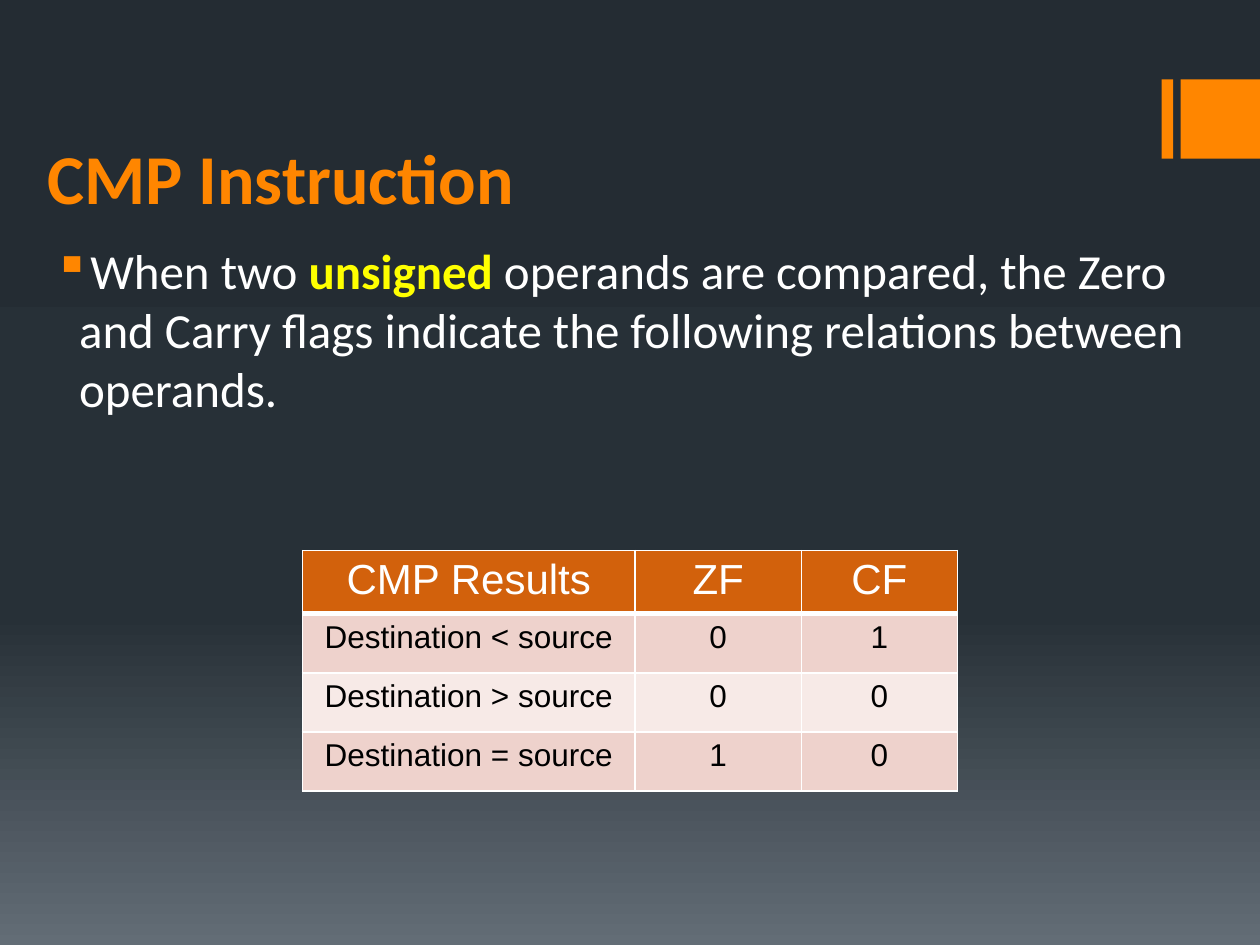
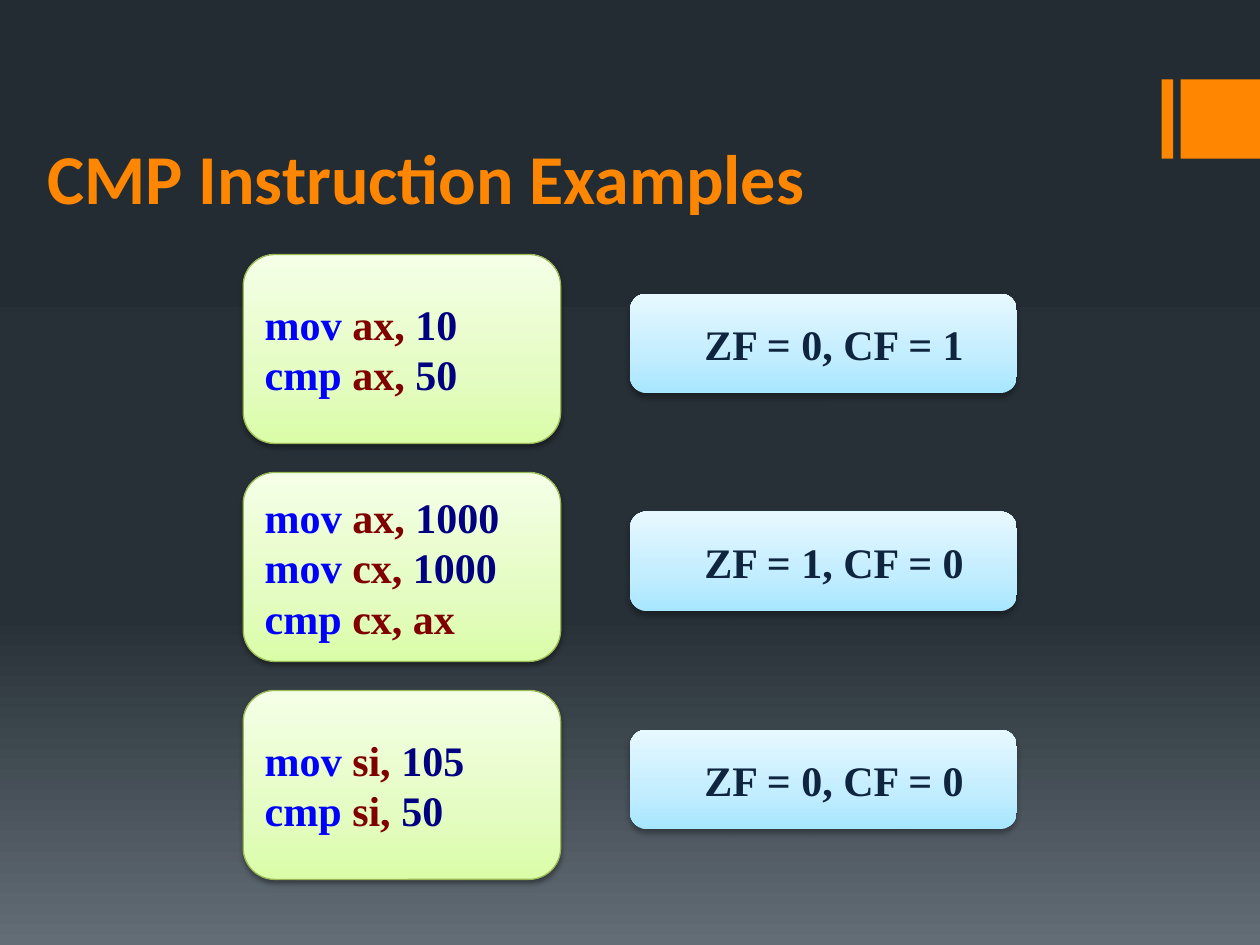
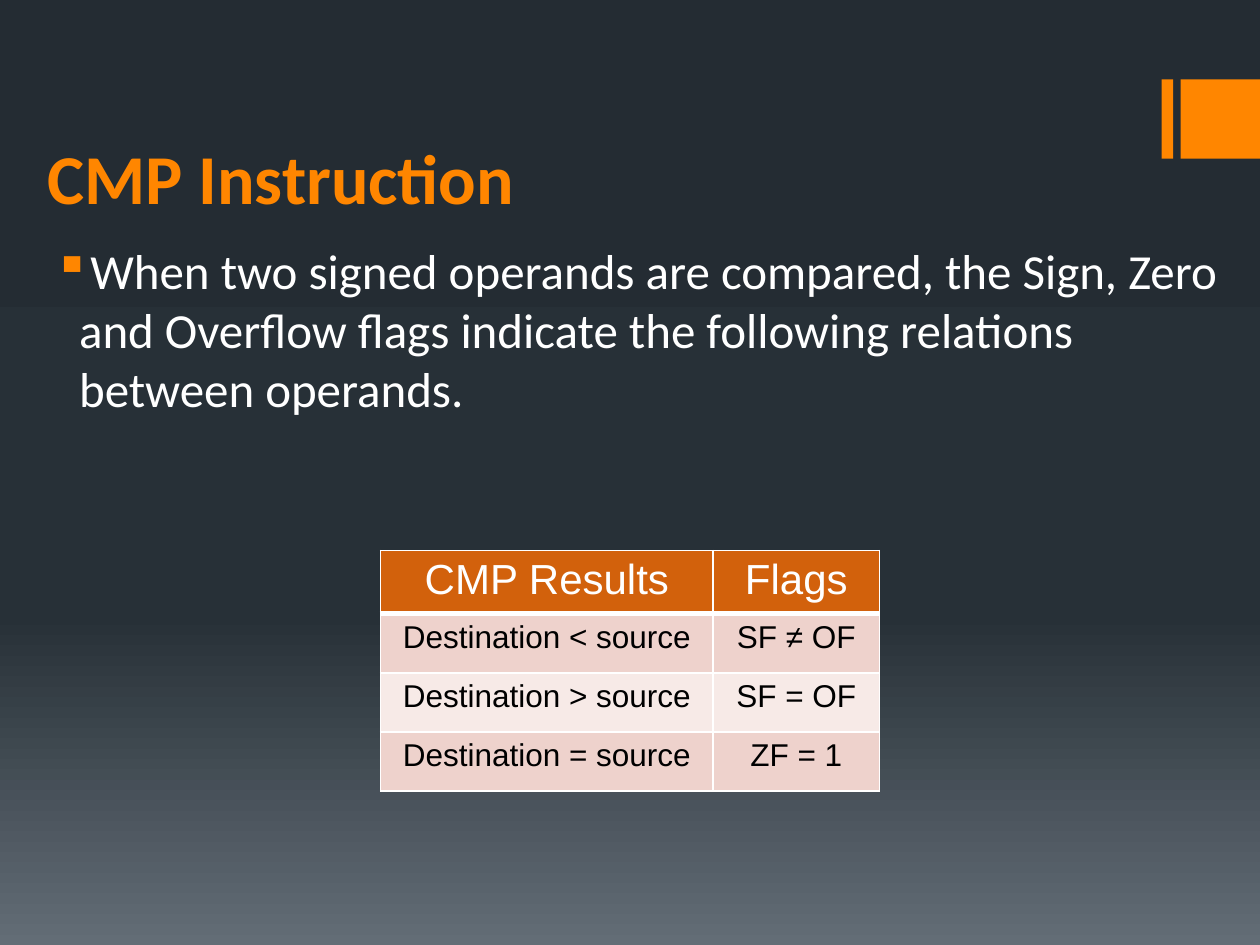
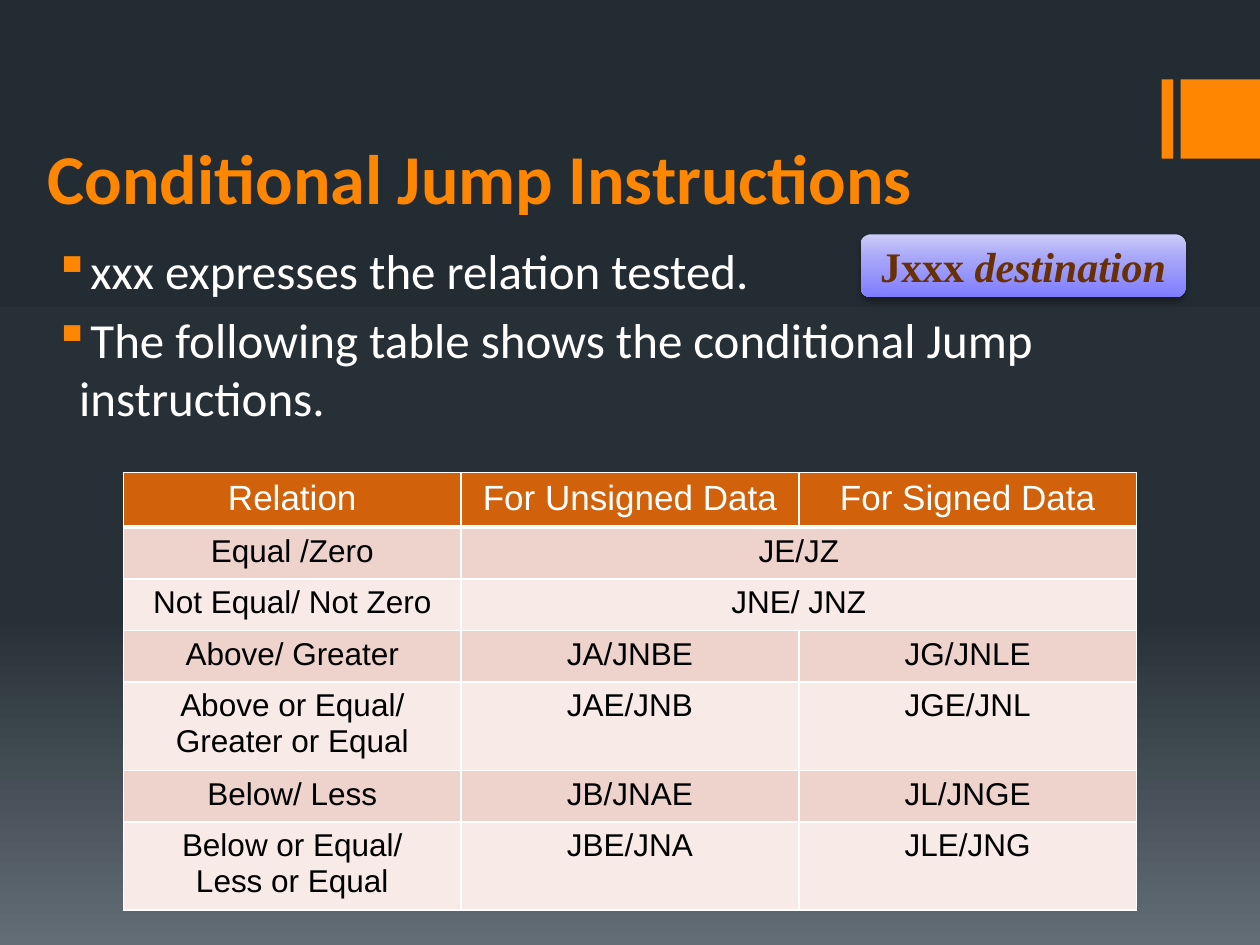
from lxml.etree import SubElement
from pptx import Presentation
from pptx.dml.color import RGBColor
from pptx.enum.shapes import MSO_SHAPE
from pptx.enum.text import MSO_ANCHOR, PP_ALIGN
from pptx.oxml.ns import qn
from pptx.util import Inches, Pt

WIDE, HIGH = 10, 7.5
LEFT = 0.28
HEX = {
    "accent": "FF8600", "white": "FFFFFF", "black": "000000", "key": "FFFF00",
    "head": "D2610C", "odd": "EED2CC", "even": "F7EAE7",
    "op": "0000FF", "reg": "800000", "num": "000080",
    "edge": "98B955", "flag": "0F243E", "jump": "693006",
}
# Gradients: stops as (percent, colour), then the angle
BACK = [(0, "242C33"), (65, "273037"), (100, "636D76")], 90
GREEN = [(0, "DAFDA7"), (35, "E4FCC2"), (100, "F5FFE7")], 270
BLUE = [(0, "A7E6FF"), (35, "C1EDFF"), (100, "E7F8FF")], 270
VIOLET = [(0, "CCCBF8"), (41, "A5A4F9"), (100, "7F7DFF")], 90
# Shadows: opacity percent, blur and distance in points
DEEP, SOFT = (38, 3.1, 1.6), (32, 3.5, 2.2)

SANS, SERIF, GRID = "Calibri", "Times New Roman", "Arial"

# Text is a list of paragraphs; a paragraph is a list of (text, colour, marks)
UNSIGNED = {
    "title": "CMP Instruction",
    "body": [[("When two ", "white", ""), ("unsigned", "key", "b"),
              (" operands are compared, the Zero and Carry flags indicate the "
               "following relations between operands.", "white", "")]],
    "table": [["CMP Results", "ZF", "CF"],
              ["Destination < source", "0", "1"],
              ["Destination > source", "0", "0"],
              ["Destination = source", "1", "0"]],
    "cols": [2.64, 1.32, 1.24], "rows": (0.49, 0.47), "top": 4.37, "size": 24,
}
SAMPLES = {
    "title": "CMP Instruction Examples",
    "pairs": [
        ([("mov", "ax", "10"), ("cmp", "ax", "50")], "ZF = 0, CF = 1"),
        ([("mov", "ax", "1000"), ("mov", "cx", "1000"), ("cmp", "cx", "ax")],
         "ZF = 1, CF = 0"),
        ([("mov", "si", "105"), ("cmp", "si", "50")], "ZF = 0, CF = 0"),
    ],
}
SIGNED = {
    "title": "CMP Instruction",
    "body": [[("When two signed operands are compared, the Sign, Zero and "
               "Overflow flags indicate the following relations between "
               "operands.", "white", "")]],
    "table": [["CMP Results", "Flags"],
              ["Destination < source", "SF ≠ OF"],
              ["Destination > source", "SF = OF"],
              ["Destination = source", "ZF = 1"]],
    "cols": [2.64, 1.32], "rows": (0.49, 0.47), "top": 4.37, "size": 24,
}
JUMPS = {
    "title": "Conditional Jump Instructions",
    "body": [[("xxx expresses the relation tested.", "white", "")],
             [("The following table shows the conditional Jump instructions.",
               "white", "")]],
    "badge": [[("Jxxx ", "jump", "b"), ("destination", "jump", "bi")]],
    # None joins a cell to the one on its left
    "table": [["Relation", "For Unsigned Data", "For Signed Data"],
              ["Equal /Zero", "JE/JZ", None],
              ["Not Equal/ Not Zero", "JNE/ JNZ", None],
              ["Above/ Greater", "JA/JNBE", "JG/JNLE"],
              ["Above or Equal/\nGreater or Equal", "JAE/JNB", "JGE/JNL"],
              ["Below/ Less", "JB/JNAE", "JL/JNGE"],
              ["Below or Equal/\nLess or Equal", "JBE/JNA", "JLE/JNG"]],
    "cols": [2.68] * 3, "rows": (0.41, 0.41), "top": 3.75, "size": 20,
}


def rgb(name):
    """Return the named colour."""
    return RGBColor.from_string(HEX[name])


def paint(font, face, size, color, marks=""):
    """Style a font; marks may hold b and i."""
    font.name, font.size = face, Pt(size)
    font.color.rgb = rgb(color)
    font.bold, font.italic = "b" in marks, "i" in marks


def tint(node, color):
    """Add an RGB colour to an XML node."""
    return SubElement(node, qn("a:srgbClr"), val=color)


def shade(owner, blend):
    """Fill a shape or a background holder with a gradient."""
    stops, angle = blend
    node = next(owner.element.iter(qn("a:gradFill")))
    bag = node.find(qn("a:gsLst"))
    for old in list(bag):
        bag.remove(old)
    for part, color in stops:
        tint(SubElement(bag, qn("a:gs"), pos=str(part * 1000)), color)
    node.find(qn("a:lin")).set("ang", str(angle * 60000))


def write(frame, paras, face, size, align=PP_ALIGN.LEFT):
    """Write paragraphs of styled runs into a text frame."""
    frame.word_wrap = True
    for i, parts in enumerate(paras):
        para = frame.add_paragraph() if i else frame.paragraphs[0]
        para.alignment = align
        for text, color, marks in parts:
            run = para.add_run()
            run.text = text
            paint(run.font, face, size, color, marks)


def label(slide, box, paras, size, anchor):
    """Add a text box and return its frame."""
    frame = slide.shapes.add_textbox(*map(Inches, box)).text_frame
    write(frame, paras, SANS, size)
    frame.vertical_anchor = anchor
    return frame


def bullet(para):
    """Give a paragraph the hanging square bullet."""
    para.space_before = Pt(5.6)
    props = para._p.get_or_add_pPr()
    props.set("marL", str(Inches(0.25)))
    props.set("indent", str(Inches(-0.2)))
    tint(SubElement(props, qn("a:buClr")), HEX["accent"])
    SubElement(props, qn("a:buChar"), char="▪")


def card(slide, box, blend, glow, paras, align, edge=None):
    """Add a rounded gradient card with a shadow and text."""
    shape = slide.shapes.add_shape(MSO_SHAPE.ROUNDED_RECTANGLE,
                                   *map(Inches, box))
    shape.fill.gradient()
    shade(shape, blend)
    if edge:
        shape.line.color.rgb = rgb(edge)
        shape.line.width = Pt(0.75)
    else:
        shape.line.fill.background()
    shape.shadow.inherit = False
    alpha, blur, dist = glow
    drop = SubElement(next(shape.element.iter(qn("a:effectLst"))),
                      qn("a:outerShdw"), blurRad=str(Pt(blur)),
                      dist=str(Pt(dist)), dir="5400000", rotWithShape="0")
    SubElement(tint(drop, HEX["black"]), qn("a:alpha"), val=str(alpha * 1000))
    frame = shape.text_frame
    write(frame, paras, SERIF, 24, align)
    frame.vertical_anchor = MSO_ANCHOR.MIDDLE
    return frame


def border(cell, head):
    """Draw white cell borders, thick under the head row."""
    props = cell._tc.get_or_add_tcPr()
    for i, side in enumerate("LRTB"):
        width = 3 if head and side == "B" else 1
        line = props.makeelement(qn("a:ln" + side), {"w": str(Pt(width))})
        tint(SubElement(line, qn("a:solidFill")), HEX["white"])
        props.insert(i, line)


def table(slide, data):
    """Add a centred table with banded rows."""
    cells, cols = data["table"], data["cols"]
    first, other = data["rows"]
    highs = [first] + [other] * (len(cells) - 1)
    box = (WIDE - sum(cols)) / 2, data["top"], sum(cols), sum(highs)
    grid = slide.shapes.add_table(len(cells), len(cols),
                                  *map(Inches, box)).table
    for col, width in zip(grid.columns, cols):
        col.width = Inches(width)
    for r, (row, high) in enumerate(zip(cells, highs)):
        grid.rows[r].height = Inches(high)
        fill = "odd" if r % 2 else "even" if r else "head"
        for c, text in enumerate(row):
            cell = grid.cell(r, c)
            cell.fill.solid()
            cell.fill.fore_color.rgb = rgb(fill)
            border(cell, r == 0)
            if text is None:
                grid.cell(r, c - 1).merge(cell)
                continue
            cell.text_frame.text = text
            for para in cell.text_frame.paragraphs:
                para.alignment = PP_ALIGN.CENTER
                for run in para.runs:
                    paint(run.font, GRID, 18 if r else data["size"],
                          "black" if r else "white")


def start(deck, data):
    """Add a slide with its corner blocks, title and bullets."""
    slide = deck.slides.add_slide(deck.slide_layouts[6])
    side = 0.63
    for left, width in ((9.22, 0.09), (WIDE - side, side)):
        block = slide.shapes.add_shape(
            MSO_SHAPE.RECTANGLE, *map(Inches, (left, side, width, side)))
        block.fill.solid()
        block.fill.fore_color.rgb = rgb("accent")
        block.line.fill.background()
        block.shadow.inherit = False
    label(slide, (LEFT, 0.52, 8.79, 1.26),
          [[(data["title"], "accent", "b")]], 40, MSO_ANCHOR.BOTTOM)
    if "body" in data:
        frame = label(slide, (LEFT, 1.86, 9.53, 1.8), data["body"], 28,
                      MSO_ANCHOR.TOP)
        for para in frame.paragraphs:
            bullet(para)
    return slide


def code(lines):
    """Colour assembly lines by operation, register and number."""
    paras = []
    for op, reg, arg in lines:
        kind = "num" if arg.isdigit() else "reg"
        paras.append([(op + " ", "op", "b"), (reg + ", ", "reg", "b"),
                      (arg, kind, "b")])
    return paras


def samples(slide, pairs):
    """Lay out code cards beside their flag cards."""
    top, step = 2.02, 1.73
    for i, (lines, flags) in enumerate(pairs):
        y = top + i * step
        card(slide, (1.93, y, 2.52, 1.5), GREEN, DEEP, code(lines),
             PP_ALIGN.LEFT, "edge")
        frame = card(slide, (WIDE / 2, y + 0.31, 3.07, 0.79), BLUE, SOFT,
                     [[(flags, "flag", "b")]], PP_ALIGN.CENTER)
        props = frame.paragraphs[0]._p.get_or_add_pPr()
        props.set("marL", str(Inches(0.17)))


def build():
    """Build and save the deck."""
    deck = Presentation()
    deck.slide_width, deck.slide_height = Inches(WIDE), Inches(HIGH)
    master = deck.slide_master
    master.background.fill.gradient()
    shade(master, BACK)
    for data in (UNSIGNED, SAMPLES, SIGNED, JUMPS):
        slide = start(deck, data)
        if "pairs" in data:
            samples(slide, data["pairs"])
        if "badge" in data:
            card(slide, (6.83, 1.86, 2.58, 0.5), VIOLET, SOFT, data["badge"],
                 PP_ALIGN.CENTER)
        if "table" in data:
            table(slide, data)
    deck.save("out.pptx")


build()
